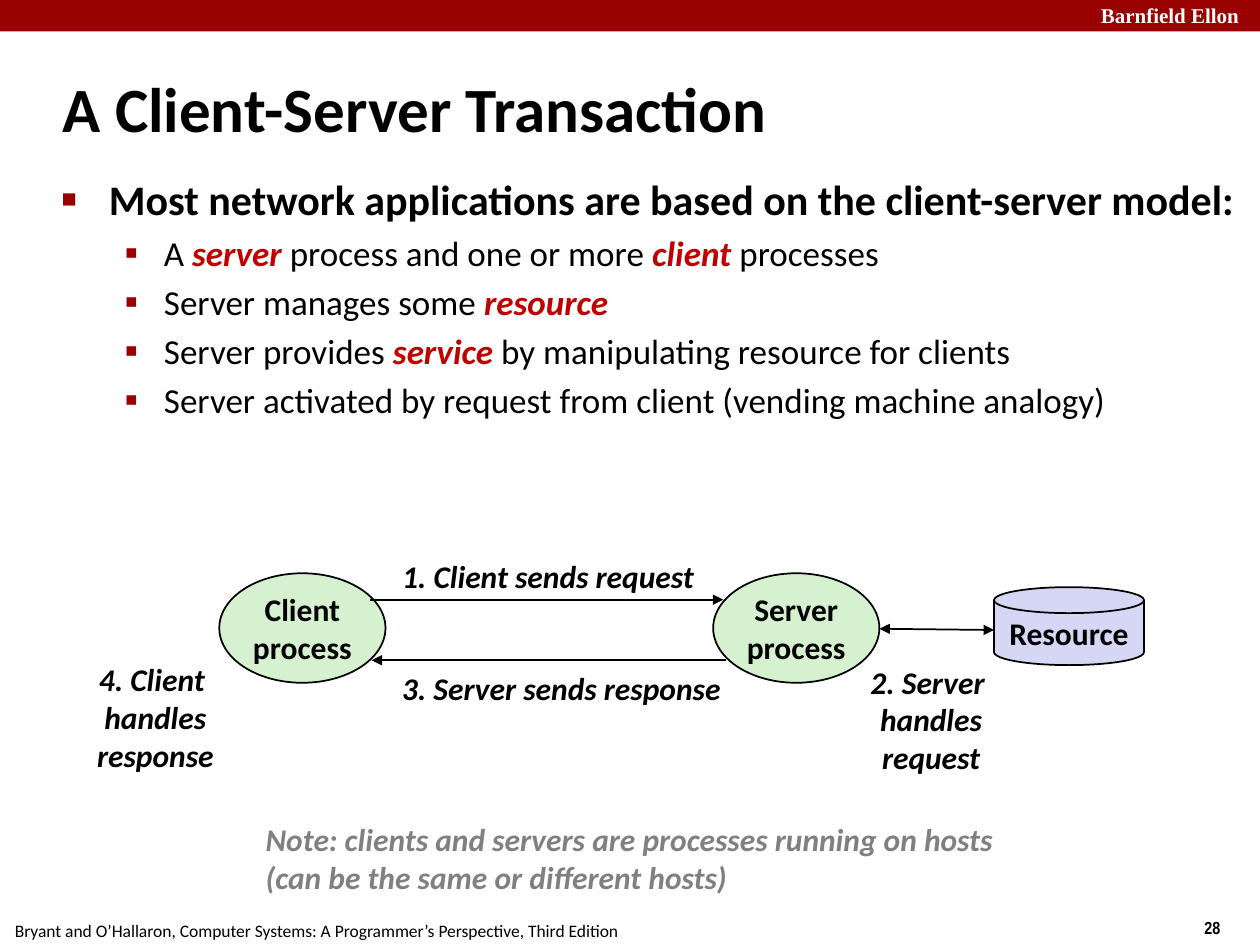
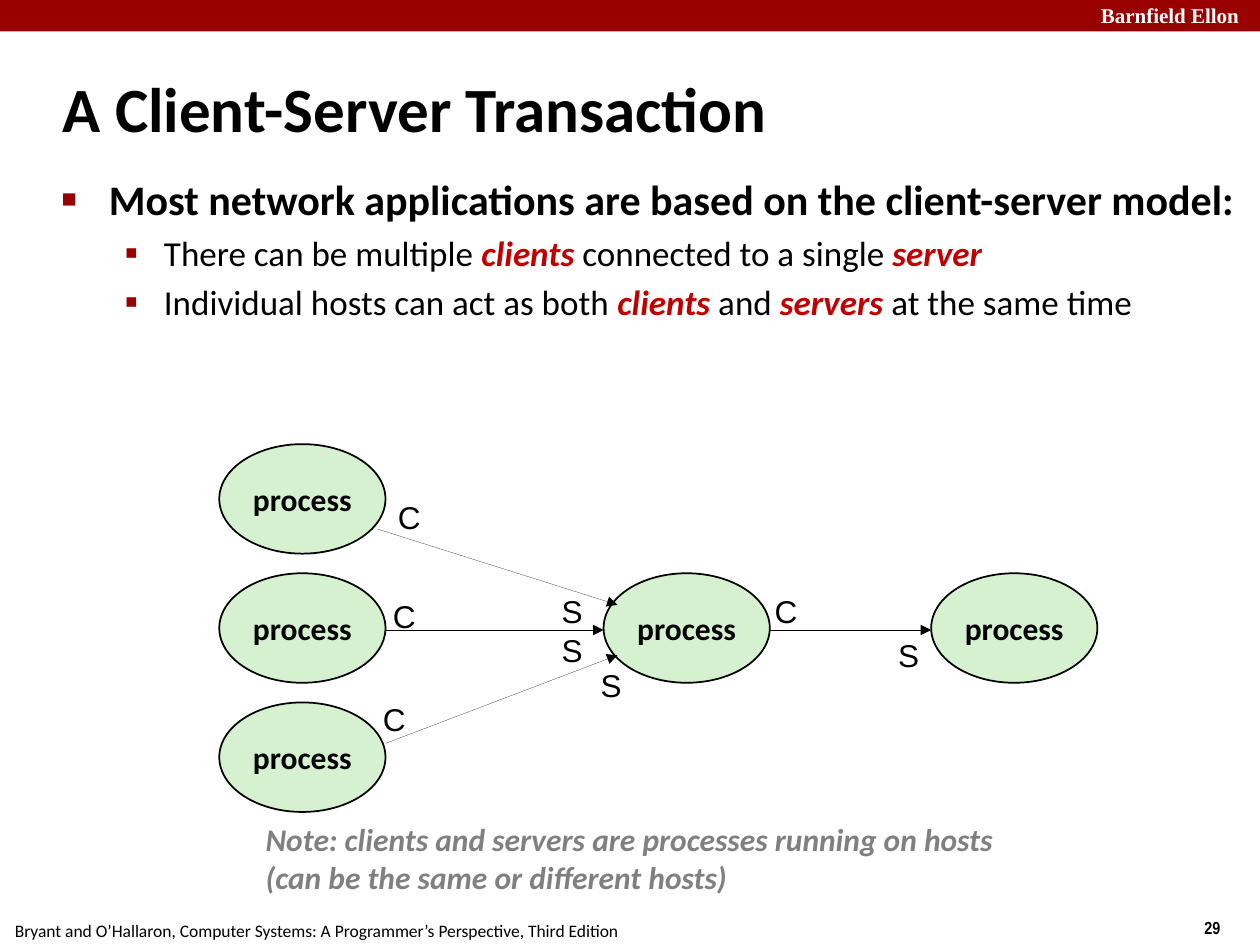
from dataclasses import dataclass

from lxml import etree
from pptx import Presentation
from pptx.dml.color import RGBColor
from pptx.enum import shapes, text
from pptx.oxml import ns
from pptx.util import Pt


@dataclass(frozen=True)
class Theme:
    band: str = "990000"
    emphasis: str = "C00000"
    ink: str = "000000"
    paper: str = "FFFFFF"
    note: str = "808080"
    process: str = "D5F1CF"
    resource: str = "D6D6F5"
    font: str = "Calibri"
    brand_font: str = "Times New Roman"
    number_font: str = "Arial Narrow"
    role_font: str = "Arial"
    bullet_font: str = "Arial"
    title_size: int = 36
    heading_size: int = 24
    point_size: int = 20
    label_size: int = 18
    brand_size: int = 12
    footer_size: int = 10
    line: float = 1
    hairline: float = 0.01


@dataclass(frozen=True)
class Box:
    left: float
    top: float
    width: float
    height: float

    def inner(self, left, top, width, height):
        return Box(self.left + left, self.top + top, width, height)

    def lengths(self):
        return [Pt(value) for value in (self.left, self.top, self.width, self.height)]


THEME = Theme()
PAGE = Box(0, 0, 720, 540)
TITLE = Box(28.8, 38.9, 563.8, 45.4)
BODY = Box(28.1, 95.8, 685.4, 162)
NOTE = Box(144.7, 465.1, 434.2, 50.4)
TRANSACTION = Box(48, 314, 606, 134)
NETWORK = Box(125.3, 253.8, 502, 211)
PROCESS_SIZE = (95, 62.6)


def colour(value):
    return RGBColor.from_string(value)


def add_xml(parent, tag, **attributes):
    return etree.SubElement(parent, ns.qn(tag), attributes)


def add_spans(para, line, *, size=THEME.label_size, font=THEME.font, ink=THEME.ink,
              bold=False, italic=False):
    for part, words in enumerate(line.split("*")):
        if words:
            marked = part % 2 == 1
            span = para.add_run()
            span.text = words
            span.font.size = Pt(size)
            span.font.name = font
            span.font.bold = bold or marked
            span.font.italic = italic or marked
            span.font.color.rgb = colour(THEME.emphasis if marked else ink)


def write(frame, lines, *, align=text.PP_ALIGN.LEFT, anchor=text.MSO_ANCHOR.TOP,
          wrap=False, grow=True, **style):
    frame.word_wrap = wrap
    frame.auto_size = text.MSO_AUTO_SIZE.SHAPE_TO_FIT_TEXT if grow else text.MSO_AUTO_SIZE.NONE
    frame.vertical_anchor = anchor
    for index, line in enumerate(lines):
        para = frame.paragraphs[0] if index == 0 else frame.add_paragraph()
        para.alignment = align
        add_spans(para, line, **style)
    return frame


def add_text(page, box, *lines, **style):
    return write(page.shapes.add_textbox(*box.lengths()).text_frame, lines, **style)


def add_shape(page, kind, box, fill, *lines, outline=True):
    shape = page.shapes.add_shape(kind, *box.lengths())
    shape.shadow.inherit = False
    shape.fill.solid()
    shape.fill.fore_color.rgb = colour(fill)
    if outline:
        shape.line.color.rgb = colour(THEME.ink)
        shape.line.width = Pt(THEME.line)
    else:
        shape.line.fill.background()
    if lines:
        write(shape.text_frame, lines, bold=True, align=text.PP_ALIGN.CENTER,
              anchor=text.MSO_ANCHOR.MIDDLE, grow=False)


def add_process(page, box, left, top, *lines):
    add_shape(page, shapes.MSO_SHAPE.OVAL, box.inner(left, top, *PROCESS_SIZE),
              THEME.process, *lines)


def add_arrow(page, box, start, end, width=THEME.line, both=False):
    points = [Pt(value) for x, y in (start, end) for value in (box.left + x, box.top + y)]
    arrow = page.shapes.add_connector(shapes.MSO_CONNECTOR.STRAIGHT, *points)
    arrow.line.color.rgb = colour(THEME.ink)
    arrow.line.width = Pt(width)
    line = arrow.line._get_or_add_ln()
    if both:
        add_xml(line, "a:headEnd", type="triangle")
    add_xml(line, "a:tailEnd", type="triangle")
    add_xml(arrow._element.spPr, "a:effectLst")


def add_bullet(para, mark, percent, margin, hang, before):
    para.space_before = Pt(before)
    properties = para._p.get_or_add_pPr()
    properties.set("marL", str(Pt(margin)))
    properties.set("indent", str(-Pt(hang)))
    add_xml(add_xml(properties, "a:buClr"), "a:srgbClr", val=THEME.band)
    add_xml(properties, "a:buSzPct", val=str(percent * 1000))
    add_xml(properties, "a:buFont", typeface=THEME.bullet_font)
    add_xml(properties, "a:buChar", char=mark)


def add_frame(page, box, number):
    add_shape(page, shapes.MSO_SHAPE.RECTANGLE, box.inner(0, 0, box.width, 18),
              THEME.band, outline=False)
    add_text(page, box.inner(622, -2.2, 103, 21.8), "Barnfield Ellon", bold=True,
             size=THEME.brand_size, font=THEME.brand_font, ink=THEME.paper)
    add_text(page, box.inner(681.1, 520.6, 54, 19.4), str(number), bold=True,
             size=THEME.footer_size, font=THEME.number_font)
    add_text(page, box.inner(1.4, 522, 360.7, 19.4),
             "Bryant and O’Hallaron, Computer Systems: A Programmer’s Perspective, Third Edition",
             size=THEME.footer_size)


def add_body(page, box, heading, points):
    frame = add_text(page, box, heading, size=THEME.heading_size, bold=True,
                     wrap=True, grow=False)
    add_bullet(frame.paragraphs[0], "■", 60, 27, 27, 4.8)
    for point in points:
        para = frame.add_paragraph()
        para.level = 1
        add_bullet(para, "▪", 110, 58.5, 22.5, 4)
        add_spans(para, point, size=THEME.point_size)


def draw_transaction(page, box):
    for left, role in ((77.3, "Client"), (359.5, "Server")):
        add_process(page, box, left, 13.6, role, "process")
    add_arrow(page, box, (163.7, 28.7), (365.3, 28.7))
    add_arrow(page, box, (366.7, 63.3), (164.4, 63.3))
    add_arrow(page, box, (454.6, 45.3), (520, 46), both=True)
    add_shape(page, shapes.MSO_SHAPE.FLOWCHART_MAGNETIC_DISK,
              box.inner(520, 21.5, 85.7, 44.6), THEME.resource, "Resource")
    steps = (
        ((174.5, 0.6, 181.4, 28.8), ["1. Client sends request"]),
        ((434.1, 61.1, 100, 72), ["2. Server ", "handles", "request"]),
        ((174.5, 64.7, 196.6, 28.8), ["3. Server sends response"]),
        ((-9.2, 59.7, 100, 72), ["4. Client ", "handles", "response"]),
    )
    for place, lines in steps:
        add_text(page, box.inner(*place), *lines, bold=True, italic=True,
                 align=text.PP_ALIGN.CENTER, anchor=text.MSO_ANCHOR.MIDDLE)


def draw_network(page, box):
    middle, right, row = 219.6, 406.8, 73.8
    for left, top in ((0, 0), (0, row), (0, 2 * row), (middle, row), (right, row)):
        add_process(page, box, left, top, "process")
    level = 106.2
    links = (
        ((90.7, 48.6), (227.5, 91.8)),
        ((95, level), (middle, level)),
        ((95, 171), (227.5, 120.6)),
        ((middle + 95, level), (right, level)),
    )
    for start, end in links:
        add_arrow(page, box, start, end, width=THEME.hairline)
    roles = {
        "C": ((95, 27), (92.1, 83.9), (86.4, 142.9), (310.3, 81)),
        "S": ((188.6, 81), (188.6, 103.3), (210.9, 123.5), (380.9, level)),
    }
    for role, places in roles.items():
        for place in places:
            add_text(page, box.inner(*place, 36, 27.4), role, font=THEME.role_font, wrap=True)


def add_page(deck, number, points, draw_diagram, diagram_box):
    page = deck.slides.add_slide(deck.slide_layouts[6])
    add_frame(page, PAGE, number)
    add_text(page, TITLE, "A Client-Server Transaction", size=THEME.title_size, bold=True,
             anchor=text.MSO_ANCHOR.MIDDLE, wrap=True, grow=False)
    add_body(page, BODY, "Most network applications are based on the client-server model:", points)
    draw_diagram(page, diagram_box)
    add_text(page, NOTE, "Note: clients and servers are processes running on hosts",
             "(can be the same or different hosts)", ink=THEME.note, bold=True, italic=True)


def main():
    deck = Presentation()
    deck.slide_width, deck.slide_height = Pt(PAGE.width), Pt(PAGE.height)
    add_page(deck, 28, (
        "A *server* process and one or more *client *processes",
        "Server manages some *resource*",
        "Server provides *service* by manipulating resource for clients",
        "Server activated by request from client (vending machine analogy)",
    ), draw_transaction, TRANSACTION)
    add_page(deck, 29, (
        "There can be multiple *clients *connected to a single *server*",
        "Individual hosts can act as both *clients* and *servers *at the same time",
    ), draw_network, NETWORK)
    deck.save("out.pptx")


if __name__ == "__main__":
    main()
